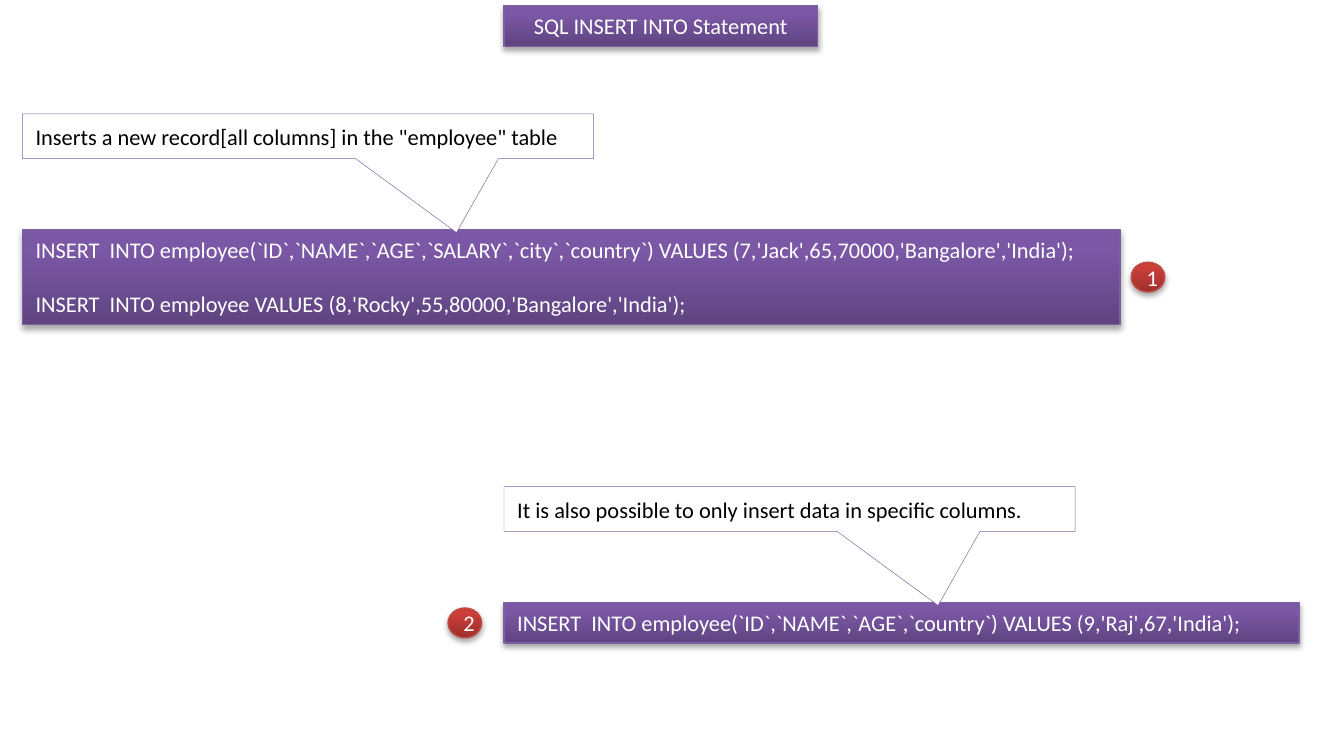
from copy import deepcopy
from dataclasses import dataclass

from lxml.etree import SubElement
from pptx import Presentation
from pptx.dml.color import RGBColor as Rgb
from pptx.enum.shapes import MSO_SHAPE as Preset
from pptx.enum.text import MSO_ANCHOR as Anchor, MSO_AUTO_SIZE as AutoSize, PP_ALIGN as Align
from pptx.oxml.ns import qn
from pptx.util import Pt


@dataclass(frozen=True)
class Theme:
    """Hold the colours, font and sizes of the slide."""
    purple: tuple = ("5F4480", "7B58A6", "7C57A8")
    purple_edge: str = "7D60A0"
    red: tuple = ("9C2F2D", "CB3E3A", "CE3B37")
    red_edge: str = "BF4C48"
    callout_edge: str = "8064A2"
    white: str = "FFFFFF"
    black: str = "000000"
    font: str = "Calibri"
    size: float = 12
    edge: float = 0.75
    thin_edge: float = 0.25


THEME = Theme()
STOPS = (0, 0.8, 1)


def write(shape, *lines, color=THEME.white, align=Align.LEFT, anchor=Anchor.TOP,
          fit=AutoSize.NONE, gap=0):
    """Write lines into a shape, with a gap between paragraphs."""
    frame = shape.text_frame
    frame.word_wrap = True
    frame.auto_size = fit
    frame.vertical_anchor = anchor
    for index, line in enumerate(lines):
        paragraph = frame.add_paragraph() if index else frame.paragraphs[0]
        paragraph.alignment = align
        if index:
            paragraph.space_before = Pt(gap)
        run = paragraph.add_run()
        run.text = line
        run.font.name = THEME.font
        run.font.size = Pt(THEME.size)
        run.font.color.rgb = Rgb.from_string(color)


def outline(shape, color, width):
    """Draw the edge of a shape."""
    shape.line.color.rgb = Rgb.from_string(color)
    shape.line.width = Pt(width)


def gloss(shape, colors, edge):
    """Give a shape a vertical gradient, an edge and a soft shadow."""
    shape.fill.gradient()
    shape.fill.gradient_angle = 90
    properties = shape._element.spPr
    stops = properties.find(".//" + qn("a:gsLst"))
    stops.append(deepcopy(stops[-1]))
    for stop, color, position in zip(shape.fill.gradient_stops, colors, STOPS):
        stop.color.rgb = Rgb.from_string(color)
        stop.position = position
    outline(shape, edge, THEME.edge)
    shape.shadow.inherit = False
    effects = properties.find(qn("a:effectLst"))
    shadow = SubElement(effects, qn("a:outerShdw"), blurRad=str(Pt(3.1)),
                        dist=str(Pt(1.8)), dir="5400000", rotWithShape="0")
    shade = SubElement(shadow, qn("a:srgbClr"), val=THEME.black)
    SubElement(shade, qn("a:alpha"), val="35000")


def add_preset(slide, preset, left, top, width, height):
    """Add a preset shape at a box given in points."""
    return slide.shapes.add_shape(preset, Pt(left), Pt(top), Pt(width), Pt(height))


def place_title(slide, text, left, top, width, height):
    """Place the heading bar."""
    title = slide.shapes.title
    title.left, title.top, title.width, title.height = map(Pt, (left, top, width, height))
    gloss(title, THEME.purple, THEME.purple_edge)
    write(title, text, align=Align.CENTER)


def place_statement(slide, note, queries, left, top, width, height):
    """Place a query panel under the callout that explains it."""
    panel = add_preset(slide, Preset.RECTANGLE, left, top + 62, width, height - 62)
    gloss(panel, THEME.purple, THEME.purple_edge)
    write(panel, *queries, fit=AutoSize.SHAPE_TO_FIT_TEXT, gap=14.6)
    callout = add_preset(slide, Preset.RECTANGULAR_CALLOUT, left, top, 306, 24)
    callout.adjustments[0] = 0.26
    callout.adjustments[1] = 2.15
    callout.fill.solid()
    callout.fill.fore_color.rgb = Rgb.from_string(THEME.white)
    outline(callout, THEME.callout_edge, THEME.thin_edge)
    callout.shadow.inherit = False
    write(callout, note, color=THEME.black, anchor=Anchor.MIDDLE)


def place_badge(slide, number, left, middle):
    """Place a numbered badge centred on a height."""
    badge = add_preset(slide, Preset.OVAL, left, middle - 8, 18, 16)
    gloss(badge, THEME.red, THEME.red_edge)
    write(badge, number, align=Align.CENTER, anchor=Anchor.MIDDLE)


def main():
    """Build the slide and save it."""
    deck = Presentation()
    deck.slide_width, deck.slide_height = Pt(720), Pt(396)
    slide = deck.slides.add_slide(deck.slide_layouts[5])
    place_title(slide, "SQL INSERT INTO Statement", 270, 3, 168, 21.8)
    place_statement(
        slide, 'Inserts a new record[all columns] in the "employee" table',
        ("INSERT  INTO employee(`ID`,`NAME`,`AGE`,`SALARY`,`city`,`country`) "
         "VALUES (7,'Jack',65,70000,'Bangalore','India');",
         "INSERT  INTO employee VALUES (8,'Rocky',55,80000,'Bangalore','India');"),
        12, 61, 588, 113)
    place_statement(
        slide, "It is also possible to only insert data in specific columns.",
        ("INSERT  INTO employee(`ID`,`NAME`,`AGE`,`country`) VALUES (9,'Raj',67,'India');",),
        270, 260.8, 426, 83.8)
    place_badge(slide, "1", 606, 148.5)
    place_badge(slide, "2", 240, 333.8)
    deck.save("out.pptx")


if __name__ == "__main__":
    main()
